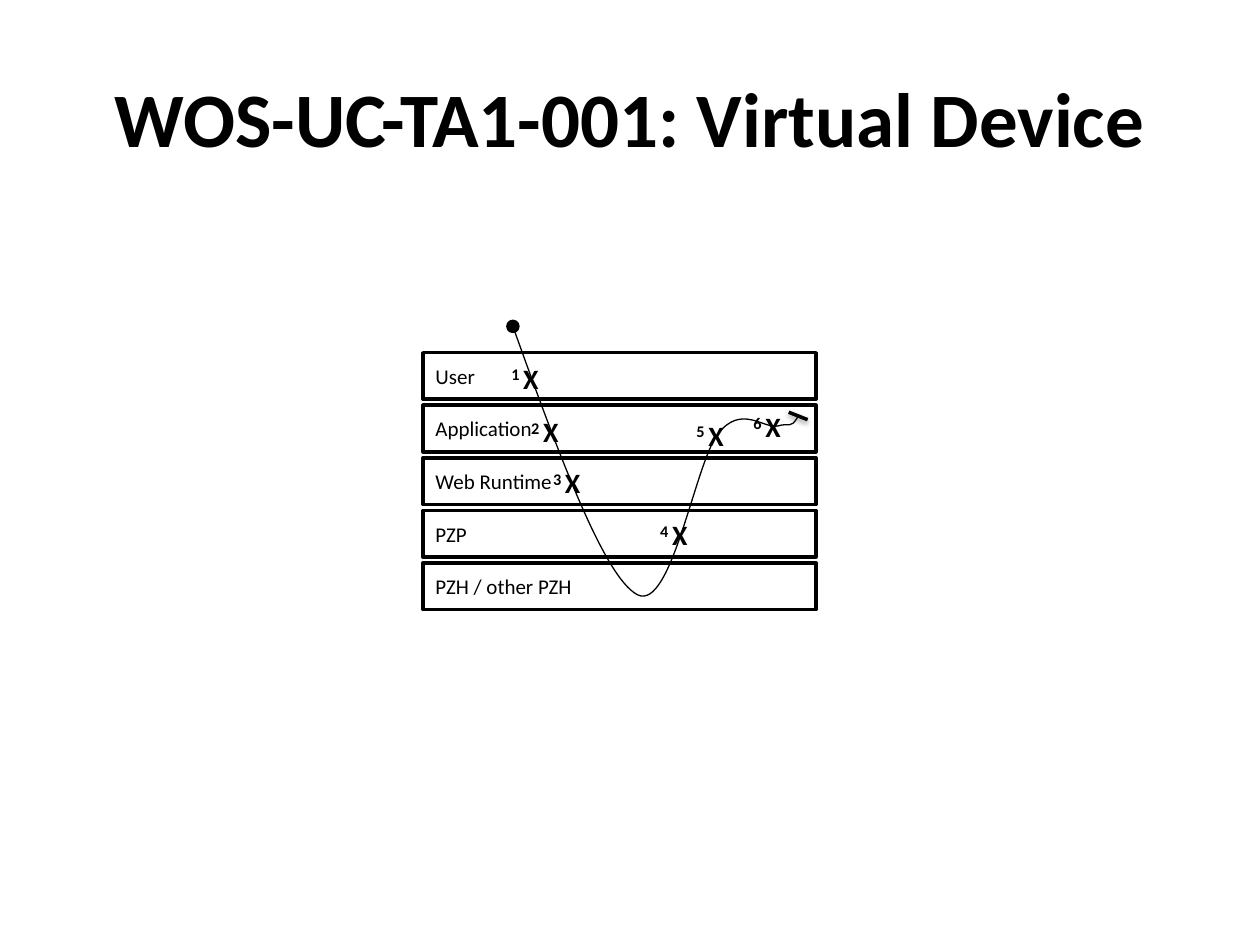
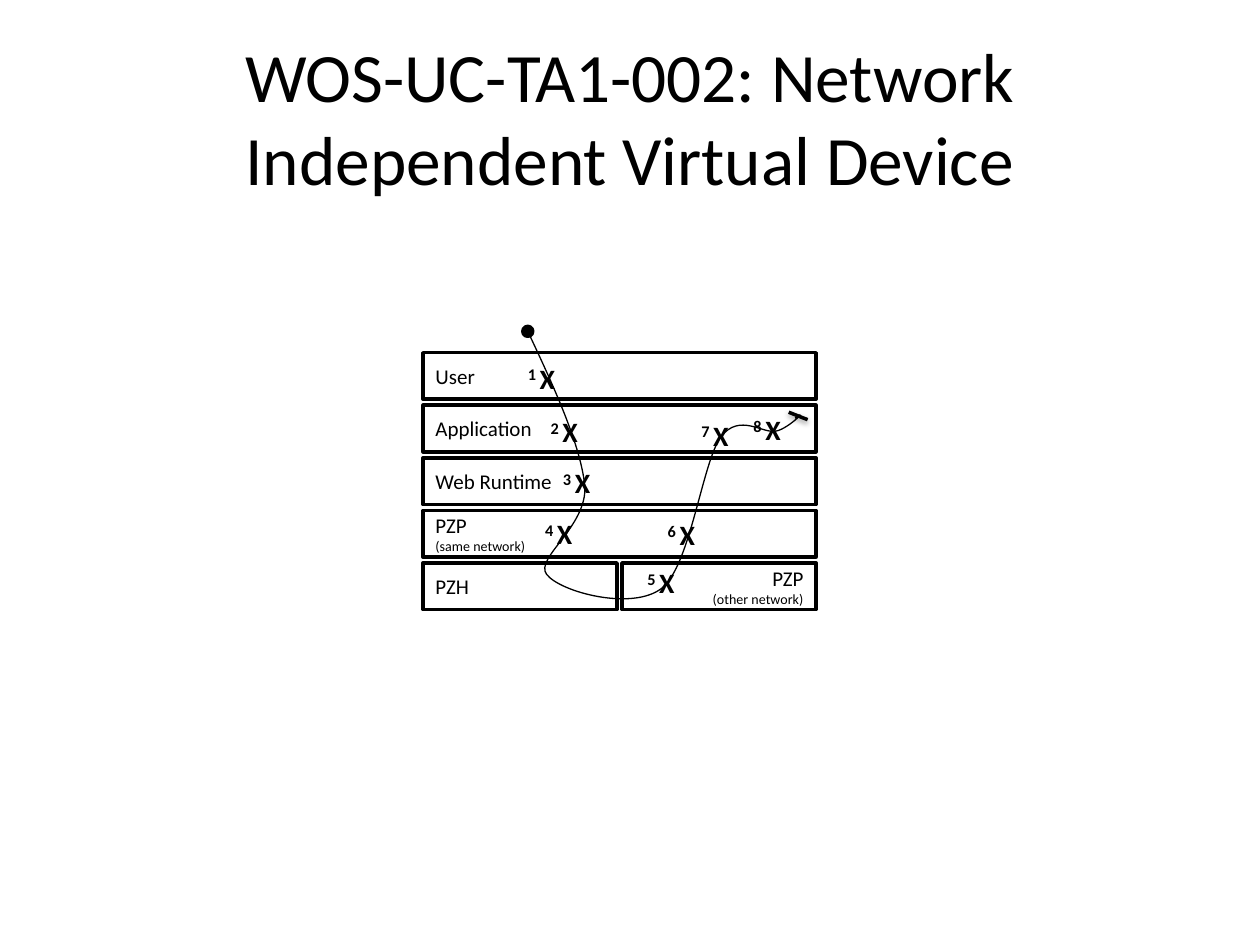
import pptx
import pptx.util
import pptx.dml.color
import pptx.enum.shapes
import pptx.enum.text
import pptx.oxml
import pptx.oxml.ns

Cm, Pt = pptx.util.Cm, pptx.util.Pt
KIND = pptx.enum.shapes.MSO_SHAPE
ALIGN = pptx.enum.text.PP_ALIGN
MID = pptx.enum.text.MSO_ANCHOR.MIDDLE
INK, PAPER, FONT = "000000", "FFFFFF", "Calibri"

# All lengths are in centimetres.
LEFT, TOP, WIDE, HIGH, STEP = 8.53, 7.11, 7.92, 0.94, 1.06
HALF = 3.91
MARK, FIRST = 1.09, 1.83
DOT = 0.2
BAR = (15.9, 8.31, 16.28, 8.46)
BREAK = ("\n", 12)


def label(word):
    """Return the text of a plain row."""
    return [[(word, 12)]]


BASE = [label("User"), label("Application"), label("Web Runtime")]

# Each row is a list of boxes; each box is a list of paragraphs of (text, size).
SLIDES = [
    {
        "title": "WOS-UC-TA1-001: Virtual Device", "size": 44, "bold": True,
        "rows": [[box] for box in BASE + [label("PZP"), label("PZH / other PZH")]],
        "marks": [(10.06, 7.16), (10.46, 8.23), (10.9, 9.27),
                  (13.06, 10.31), (13.79, 8.31), (14.94, 8.13)],
        "start": (10.34, 6.58),
        "curve": [
            ((11.25, 9.12), (12.17, 11.63), (12.85, 11.99)),
            ((13.54, 12.34), (14.02, 9.3), (14.48, 8.74)),
            ((14.94, 8.15), (15.39, 8.64), (15.67, 8.59)),
            ((15.93, 8.51), (15.93, 8.66), (16.08, 8.41)),
        ],
    },
    {
        "title": "WOS-UC-TA1-002: Network Independent Virtual Device",
        "size": 39.6, "bold": False,
        "rows": [[box] for box in BASE] + [
            [[[("PZP", 12), BREAK, ("(same network)", 8)]]],
            [label("PZH"), [[("PZP", 12)], [("(other network)", 8)]]],
        ],
        "marks": [(10.39, 7.16), (10.85, 8.23), (11.1, 9.27), (10.74, 10.29),
                  (12.8, 11.28), (13.21, 10.31), (13.89, 8.31), (14.94, 8.2)],
        "start": (10.64, 6.68),
        "curve": [
            ((11.18, 7.82), (11.71, 8.99), (11.79, 9.8)),
            ((11.84, 10.62), (10.77, 11.25), (11.02, 11.58)),
            ((11.3, 11.94), (12.75, 12.32), (13.34, 11.86)),
            ((13.92, 11.4), (14.15, 9.35), (14.53, 8.81)),
            ((14.91, 8.31), (15.39, 8.76), (15.65, 8.69)),
            ((15.9, 8.64), (16.33, 8.2), (16.03, 8.43)),
        ],
    },
]


def paint(text):
    """Turn a hex string into a colour."""
    return pptx.dml.color.RGBColor.from_string(text)


def lengths(*sizes):
    """Turn centimetres into slide lengths."""
    return [Cm(size) for size in sizes]


def write(frame, paras, align=ALIGN.LEFT, bold=False, anchor=None, raised=()):
    """Fill a frame with paragraphs of (text, size); raise the runs listed."""
    frame.word_wrap = True
    if anchor is not None:
        frame.vertical_anchor = anchor
    for num, runs in enumerate(paras):
        para = frame.add_paragraph() if num else frame.paragraphs[0]
        para.alignment = align
        for spot, (text, size) in enumerate(runs):
            if text == "\n":
                para.add_line_break()
                continue
            run = para.add_run()
            run.text = text
            run.font.name, run.font.size, run.font.bold = FONT, Pt(size), bold
            run.font.color.rgb = paint(INK)
            if spot in raised:
                run.font._element.set("baseline", "30000")


def add_box(group, kind, place, fill):
    """Add a filled shape with a black outline."""
    shape = group.add_shape(kind, *lengths(*place))
    shape.shadow.inherit = False
    shape.fill.solid()
    shape.fill.fore_color.rgb = paint(fill)
    shape.line.color.rgb = paint(INK)
    shape.line.width = Pt(2)
    return shape


def add_rows(group, rows):
    """Stack the layers, splitting a row that holds two boxes."""
    for num, boxes in enumerate(rows):
        width = WIDE if len(boxes) == 1 else HALF
        for col, paras in enumerate(boxes):
            left = LEFT + col * (WIDE - HALF)
            place = (left, TOP + num * STEP, width, HIGH)
            shape = add_box(group, KIND.RECTANGLE, place, PAPER)
            align = ALIGN.RIGHT if col else ALIGN.LEFT
            write(shape.text_frame, paras, align=align, anchor=MID)


def add_marks(group, marks):
    """Number the crosses along the curve."""
    for num, (left, top) in enumerate(marks, 1):
        width = FIRST if num == 1 else MARK
        frame = group.add_textbox(*lengths(left, top, width, HIGH)).text_frame
        frame.margin_right = 0
        write(frame, [[(f"{num} ", 16), ("X", 16)]], bold=True, raised=(0,))


def add_curve(group, start, curve):
    """Draw a line through the end points, then bend each part."""
    pen = group.build_freeform(*lengths(*start))
    pen.add_line_segments([lengths(*part[2]) for part in curve], close=False)
    shape = pen.convert_to_shape()
    shape.shadow.inherit = False
    shape.fill.background()
    shape.line.color.rgb = paint(INK)
    shape.line.width = Pt(0.75)
    for part, bend in zip(shape._element.xpath(".//a:lnTo"), curve):
        part.tag = pptx.oxml.ns.qn("a:cubicBezTo")
        for num, (left, top) in enumerate(bend[:2]):
            point = part.makeelement(pptx.oxml.ns.qn("a:pt"), {
                "x": str(Cm(left) - shape.left), "y": str(Cm(top) - shape.top)})
            part.insert(num, point)


def add_bar(group):
    """Add the short end bar with its soft shadow."""
    line = group.add_connector(pptx.enum.shapes.MSO_CONNECTOR.STRAIGHT, *lengths(*BAR))
    line.line.color.rgb = paint(INK)
    line.line.width = Pt(2)
    line._element.spPr.append(pptx.oxml.parse_xml(
        f'<a:effectLst {pptx.oxml.ns.nsdecls("a")}>'
        f'<a:outerShdw blurRad="{Pt(3.1)}" dist="{Pt(1.6)}" dir="5400000" rotWithShape="0">'
        f'<a:srgbClr val="{INK}"><a:alpha val="38000"/></a:srgbClr>'
        '</a:outerShdw></a:effectLst>'))


def add_slide(deck, data):
    """Build one slide: title, layers, curve and marks."""
    slide = deck.slides.add_slide(deck.slide_layouts[6])
    title = slide.shapes.add_textbox(*lengths(1.27, 0.76, 22.86, 3.18))
    write(title.text_frame, [[(data["title"], data["size"])]],
          align=ALIGN.CENTER, bold=data["bold"], anchor=MID)
    group = slide.shapes.add_group_shape().shapes
    add_rows(group, data["rows"])
    add_marks(group, data["marks"])
    left, top = data["start"]
    add_box(group, KIND.OVAL, (left - DOT / 2, top - DOT / 2, DOT, DOT), INK)
    add_bar(group)
    add_curve(group, data["start"], data["curve"])


deck = pptx.Presentation()
deck.slide_width, deck.slide_height = lengths(25.4, 19.05)
for data in SLIDES:
    add_slide(deck, data)
deck.save("out.pptx")
